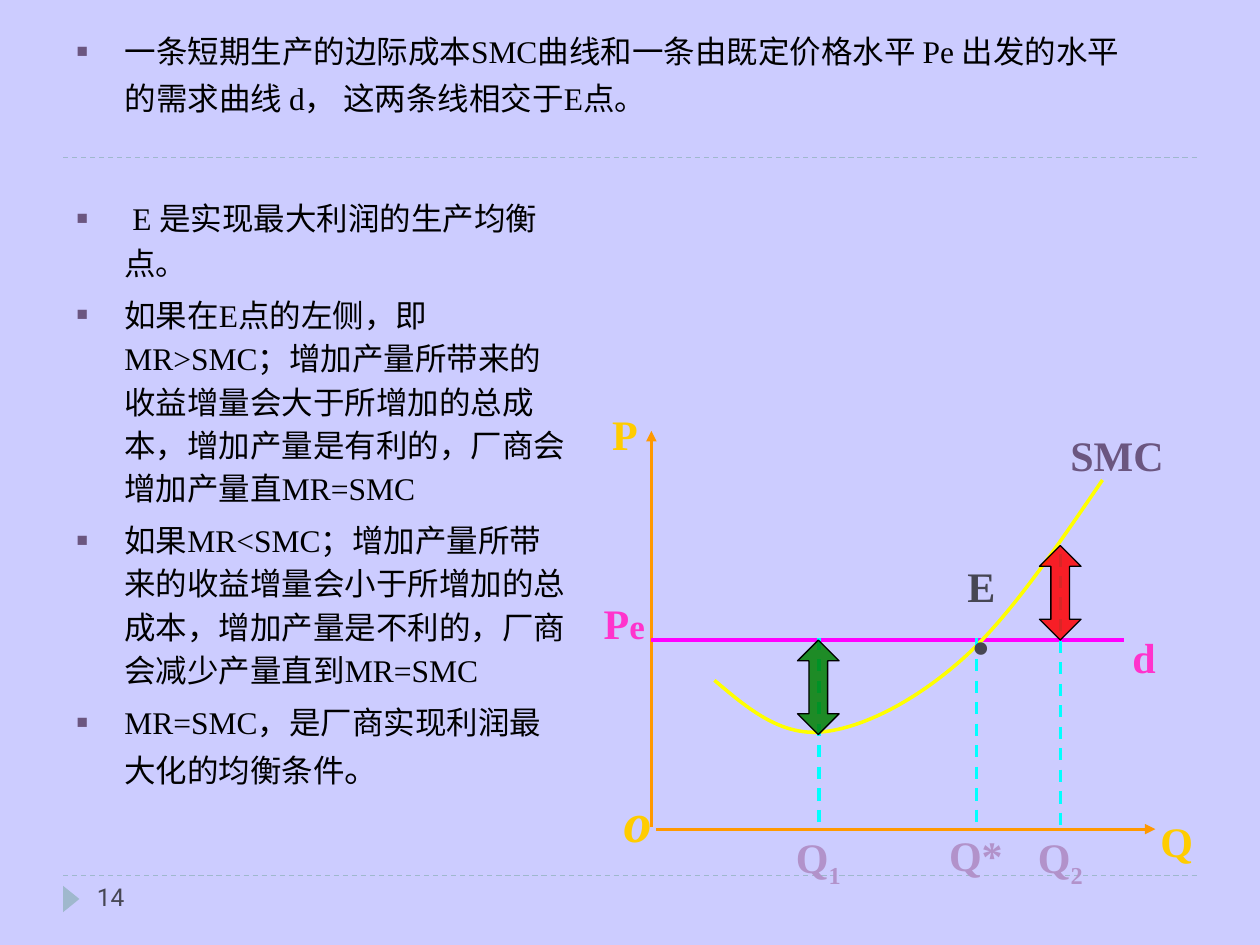
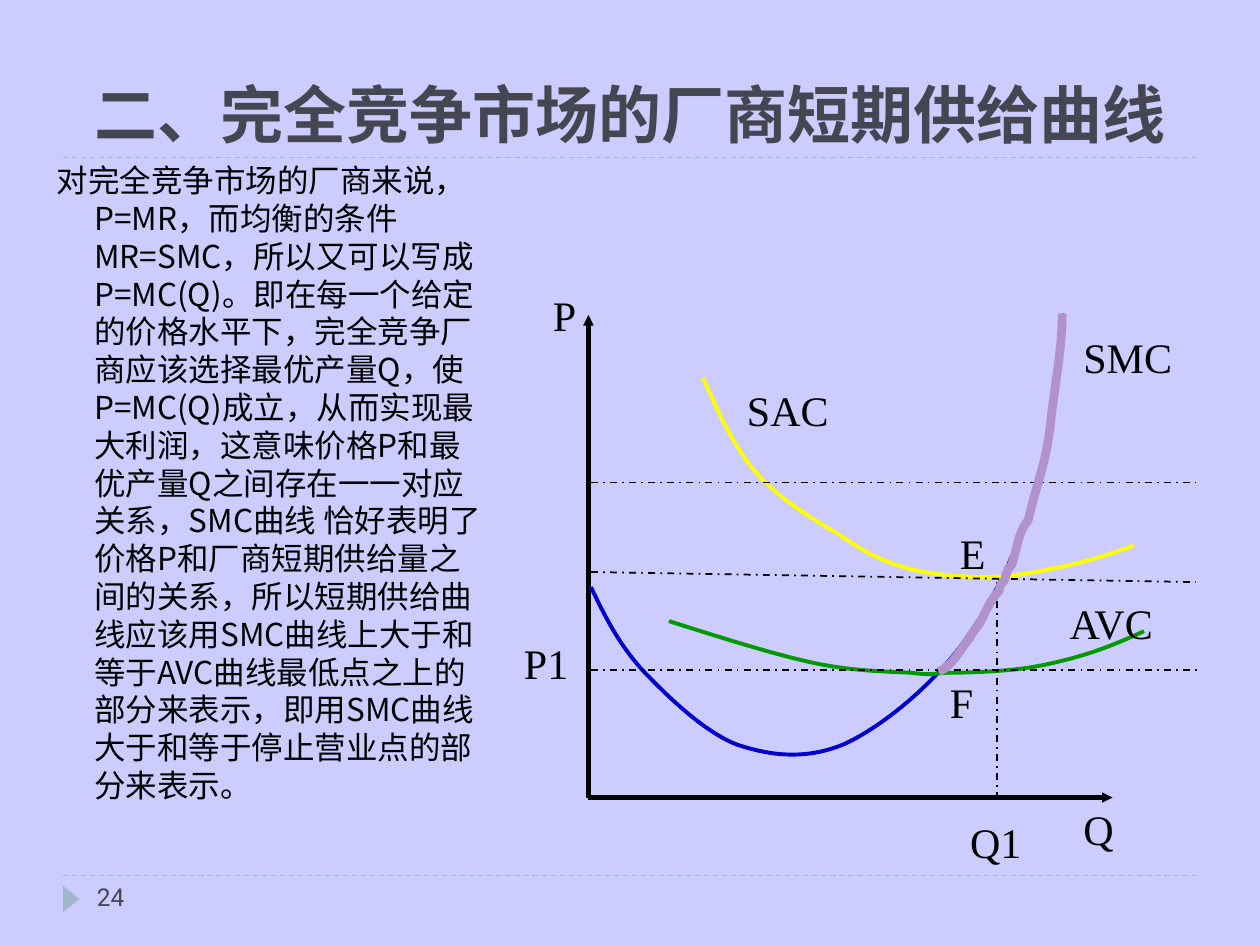
from lxml.etree import SubElement
from pptx import Presentation
from pptx.dml.color import RGBColor
from pptx.enum.dml import MSO_LINE_DASH_STYLE as Dash
from pptx.enum.shapes import MSO_CONNECTOR, MSO_SHAPE
from pptx.enum.text import MSO_ANCHOR as Anchor, PP_ALIGN as Align
from pptx.oxml.ns import qn
from pptx.util import Inches, Pt

WIDTH, HEIGHT = 10, 7.5
MARGIN = 0.5
SERIF, CJK = "Times New Roman", "Noto Sans CJK SC"
BACKGROUND, RULE, INK, BLACK = "CCCCFF", "9FB8CD", "464653", "000000"
PLUM, LILAC, GOLD, ORANGE = "6B5680", "B292CA", "FFCC00", "FF9900"
PINK, MAGENTA, CYAN, YELLOW = "FF33CC", "FF00FF", "00FFFF", "FFFF00"
BLUE, GREEN = "0000CC", "009900"
AXIS_INSETS = (0.24, 0, 0, 0.17)

INTRO = ["一条短期生产的边际成本SMC曲线和一条由既定价格水平 Pe 出发的水平的需求曲线 d， 这两条线相交于E点。"]
POINTS = [
    " E 是实现最大利润的生产均衡点。",
    "如果在E点的左侧，即MR>SMC；增加产量所带来的收益增量会大于所增加的总成本，增加产量是有利的，厂商会增加产量直MR=SMC",
    "如果MR<SMC；增加产量所带来的收益增量会小于所增加的总成本，增加产量是不利的，厂商会减少产量直到MR=SMC",
    [("MR=SMC，是厂商实现利润最大化的均衡条件", {}), ("。", {"size": 20})],
]
TITLE = "二、完全竞争市场的厂商短期供给曲线"
SUPPLY_TEXT = (
    "对完全竞争市场的厂商来说，P=MR，而均衡的条件MR=SMC，所以又可以写成P=MC(Q)。"
    "即在每一个给定的价格水平下，完全竞争厂商应该选择最优产量Q，使P=MC(Q)成立，"
    "从而实现最大利润，这意味价格P和最优产量Q之间存在一一对应关系，SMC曲线 恰好表明了"
    "价格P和厂商短期供给量之间的关系，所以短期供给曲线应该用SMC曲线上大于和等于AVC曲线"
    "最低点之上的部分来表示，即用SMC曲线大于和等于停止营业点的部分来表示。"
)

SUBSCRIPT = {"baseline": -25}
EQUILIBRIUM_LABELS = [
    ("o", (4.67, 6.03, 0.54, 0.89), GOLD, {"size": 32, "italic": True}),
    ("Q", (8.93, 6.31, 0.58, 0.73), GOLD, {}),
    ("P", (4.58, 3.08, 0.52, 0.73), GOLD, {}),
    ([("P", {}), ("e", {"size": 20})], (4.42, 4.58, 0.83, 0.73), PINK, {}),
    ("d", (8.5, 4.85, 0.92, 0.73), PINK, {}),
    ("SMC", (8.08, 3.25, 1.33, 0.73), PLUM, {}),
    ("·", (7.43, 4.45, 0.47, 1.2), INK, {"size": 44}),
]
OUTPUTS = [
    ("Q*", 7.75, 5.06, 0.73),
    ([("Q", {}), ("1", SUBSCRIPT)], 6.5, 5.06, 0.81),
    ([("Q", {}), ("2", SUBSCRIPT)], 8.42, 4.4, 0.81),
]
GAP_ARROWS = [(6.33, 5.08, "008000"), (8.25, 4.33, "FF0000")]
EQUILIBRIUM_SMC = [
    (5.67, 5.4), (5.93, 5.62), (6.19, 5.84), (6.52, 5.81), (6.85, 5.78),
    (7.27, 5.56), (7.64, 5.23), (8.01, 4.9), (8.38, 4.35), (8.75, 3.81),
]

SUPPLY_LABELS = [
    ("P", 4.29, 2.25, 1.08), ("Q", 8.5, 6.33, 0.67), ("SMC", 8.5, 2.58, 0.99),
    ("SAC", 5.83, 3, 1.25), ("AVC", 8.39, 4.69, 1.25), ("P1", 4.06, 5.01, 0.79),
    ("E", 7.52, 4.14, 0.71), ("F", 7.44, 5.32, 0.31), ("Q1", 7.6, 6.43, 0.71),
]
GUIDES = [
    ((4.69, 5.32), (9.52, 5.32)), ((7.91, 4.62), (7.91, 6.37)),
    ((4.69, 4.54), (9.49, 4.62)), ((4.69, 3.83), (9.49, 3.83)),
]
COST_CURVES = [
    (BLUE, [
        (4.69, 4.66), (4.8, 4.89), (4.91, 5.11), (5.1, 5.32), (5.3, 5.53),
        (5.59, 5.81), (5.85, 5.91), (6.12, 6), (6.39, 6.03), (6.69, 5.91),
        (6.98, 5.78), (7.35, 5.48), (7.6, 5.16), (7.85, 4.84), (8.05, 4.43),
        (8.19, 3.99), (8.32, 3.55), (8.38, 3.02), (8.44, 2.49)]),
    (GREEN, [
        (5.31, 4.93), (5.72, 5.06), (6.13, 5.19), (6.45, 5.26), (6.77, 5.33),
        (7.06, 5.33), (7.23, 5.34), (7.41, 5.36), (7.36, 5.35), (7.52, 5.34),
        (7.67, 5.34), (7.97, 5.33), (8.16, 5.3), (8.35, 5.27), (8.5, 5.23),
        (8.66, 5.18), (8.81, 5.13), (8.95, 5.07), (9.08, 5.01)]),
    (YELLOW, [
        (5.58, 3), (5.7, 3.27), (5.82, 3.54), (6, 3.75), (6.18, 3.96),
        (6.47, 4.13), (6.67, 4.25), (6.86, 4.38), (6.97, 4.44), (7.17, 4.5),
        (7.36, 4.56), (7.63, 4.58), (7.83, 4.58), (8.04, 4.58), (8.22, 4.54),
        (8.42, 4.5), (8.61, 4.46), (8.81, 4.4), (9, 4.33)]),
]
SUPPLY_CURVE = [
    (7.45, 5.33), (7.55, 5.3), (7.63, 5.14), (7.7, 5.06), (7.72, 5.01),
    (7.75, 4.99), (7.78, 4.94), (7.82, 4.86), (7.86, 4.76), (7.93, 4.69),
    (7.93, 4.67), (7.93, 4.66), (7.94, 4.64), (7.95, 4.63), (7.96, 4.62),
    (7.97, 4.61), (7.98, 4.58), (7.99, 4.55), (8, 4.52), (8.01, 4.51),
    (8.02, 4.49), (8.03, 4.48), (8.07, 4.37), (8.08, 4.22), (8.16, 4.13),
    (8.2, 3.95), (8.26, 3.78), (8.3, 3.6), (8.33, 3.46), (8.34, 3.32),
    (8.36, 3.18), (8.39, 2.95), (8.43, 2.72), (8.43, 2.49),
]


def paint(color_format, color):
    color_format.rgb = RGBColor.from_string(color)


def fill_with(fill, color, alpha=None):
    fill.solid()
    paint(fill.fore_color, color)
    if alpha:
        node = fill.fore_color._xFill.find(qn("a:srgbClr"))
        SubElement(node, qn("a:alpha"), val=str(alpha * 1000))


def add_bullet(properties):
    color = SubElement(properties, qn("a:buClr"))
    SubElement(color, qn("a:srgbClr"), val=PLUM)
    SubElement(properties, qn("a:buSzPct"), val="60000")
    SubElement(properties, qn("a:buFont"), typeface=SERIF)
    SubElement(properties, qn("a:buChar"), char="■")


def format_run(run, size, font, color, bold=False, italic=False, baseline=0):
    run.font.size = Pt(size)
    run.font.name = font
    run.font.bold = bold
    run.font.italic = italic
    paint(run.font.color, color)
    properties = run._r.get_or_add_rPr()
    SubElement(properties, qn("a:ea"), typeface=CJK)
    if baseline:
        properties.set("baseline", str(baseline * 1000))


def write(slide, paragraphs, box, insets=(0.1, 0.05, 0.1, 0.05), anchor=Anchor.TOP,
          align=Align.LEFT, spacing=(None,), before=(0,), bullet=False, hanging=0,
          size=18, font=SERIF, color=BLACK, **style):
    frame = slide.shapes.add_textbox(*map(Inches, box)).text_frame
    frame.word_wrap = True
    frame.vertical_anchor = anchor
    (frame.margin_left, frame.margin_top,
     frame.margin_right, frame.margin_bottom) = map(Inches, insets)
    base = dict(size=size, font=font, color=color, **style)
    for index, content in enumerate(paragraphs):
        paragraph = frame.add_paragraph() if index else frame.paragraphs[0]
        properties = paragraph._p.get_or_add_pPr()
        properties.set("hangingPunct", "0")
        if hanging:
            properties.set("marL", str(Inches(hanging)))
            properties.set("indent", str(-Inches(hanging)))
        if bullet:
            add_bullet(properties)
        paragraph.alignment = align
        paragraph.line_spacing = spacing[index % len(spacing)]
        if index:
            paragraph.space_before = Pt(before[index % len(before)])
        runs = [(content, {})] if isinstance(content, str) else content
        for words, changes in runs:
            run = paragraph.add_run()
            run.text = words
            format_run(run, **{**base, **changes})


def draw_line(slide, start, end, color, width, dash=None, head=None):
    line = slide.shapes.add_connector(
        MSO_CONNECTOR.STRAIGHT, *map(Inches, (*start, *end)))
    paint(line.line.color, color)
    line.line.width = Pt(width)
    if dash:
        line.line.dash_style = dash
    if head:
        SubElement(line.line._get_or_add_ln(), qn("a:tailEnd"),
                   type="triangle", w=head, len=head)
    SubElement(line._element.spPr, qn("a:effectLst"))


def draw_curve(slide, points, color, width):
    start, *rest = [tuple(map(Inches, point)) for point in points]
    builder = slide.shapes.build_freeform(*start, scale=1.0)
    builder.add_line_segments(rest, close=False)
    shape = builder.convert_to_shape()
    outline = next(shape._element.iter(qn("a:path")))
    segments = outline.findall(qn("a:lnTo"))
    for first in range(0, len(segments), 3):
        cubic = SubElement(outline, qn("a:cubicBezTo"))
        for segment in segments[first:first + 3]:
            cubic.append(segment[0])
            outline.remove(segment)
    shape.shadow.inherit = False
    shape.fill.background()
    paint(shape.line.color, color)
    shape.line.width = Pt(width)


def add_preset(slide, kind, box, color, alpha=None):
    shape = slide.shapes.add_shape(kind, *map(Inches, box))
    shape.shadow.inherit = False
    fill_with(shape.fill, color, alpha)
    shape.line.fill.background()
    return shape


def new_slide(presentation, number):
    slide = presentation.slides.add_slide(presentation.slide_layouts[6])
    fill_with(slide.background.fill, BACKGROUND)
    for y in (6.95, 1.25):
        draw_line(slide, (MARGIN, y), (WIDTH - MARGIN, y), RULE, 0.75, Dash.DASH)
    marker = add_preset(slide, MSO_SHAPE.ISOSCELES_TRIANGLE, (0.46, 7.07, 0.21, 0.13), RULE)
    marker.rotation = 90
    write(slide, [number], (0.67, 6.95, 2.17, 0.4), size=14, font="Roboto", color=INK)
    return slide


def axis_label(slide, words, box, color, **style):
    write(slide, [words], box, insets=AXIS_INSETS, align=Align.CENTER, spacing=(1.4,),
          color=color, bold=True, **{"size": 24, **style})


def build_equilibrium(presentation):
    slide = new_slide(presentation, "14")
    write(slide, INTRO, (0.51, 0.13, 8.58, 1.12), bullet=True, hanging=0.38, spacing=(1.25,))
    draw_line(slide, (5.21, 6.58), (9.17, 6.58), ORANGE, 1.75, head="med")
    draw_line(slide, (5.17, 6.56), (5.17, 3.42), ORANGE, 1.75, head="med")
    draw_line(slide, (5.17, 5.08), (8.92, 5.08), MAGENTA, 2)
    draw_curve(slide, EQUILIBRIUM_SMC, YELLOW, 2)
    for words, x, top, height in OUTPUTS:
        draw_line(slide, (x, top), (x, 6.56), CYAN, 1.75, Dash.DASH)
        axis_label(slide, words, (x - 0.5, 6.42, 0.75, height), LILAC)
    for words, box, color, style in EQUILIBRIUM_LABELS:
        axis_label(slide, words, box, color, **style)
    write(slide, POINTS, (0.51, 1.47, 4.13, 4.61), bullet=True, hanging=0.38,
          spacing=(1.2, 1.15, 1.15, 1.15), before=(0, 4.5, 4.5, 5))
    write(slide, ["E"], (7.58, 4.4, 0.42, 0.5), size=24, color=INK, bold=True)
    for left, top, color in GAP_ARROWS:
        arrow = add_preset(slide, MSO_SHAPE.UP_DOWN_ARROW, (left, top, 0.33, 0.75), color, 85)
        arrow.adjustments[0], arrow.adjustments[1] = 0.5, 0.45
        paint(arrow.line.color, BLACK)
        arrow.line.width = Pt(0.75)


def build_supply(presentation):
    slide = new_slide(presentation, "24")
    write(slide, [TITLE], (MARGIN, 0.17, WIDTH - 2 * MARGIN, 1.08), anchor=Anchor.BOTTOM,
          align=Align.CENTER, size=36, font="TeX Gyre Bonum", color=INK, bold=True)
    write(slide, [SUPPLY_TEXT], (0.35, 1.23, 3.62, 5.84), font=CJK, hanging=0.3,
          spacing=(Pt(21.6),))
    origin = (4.67, 6.33)
    for end in ((8.83, 6.33), (4.67, 2.5)):
        draw_line(slide, origin, end, BLACK, 3, head="sm")
    for color, points in COST_CURVES:
        draw_curve(slide, points, color, 2.25)
    for words, left, top, width in SUPPLY_LABELS:
        write(slide, [words], (left, top, width, 0.5), size=24)
    for start, end in GUIDES:
        draw_line(slide, start, end, BLACK, 1, Dash.DASH_DOT)
    draw_curve(slide, SUPPLY_CURVE, LILAC, 5)


def main():
    presentation = Presentation()
    presentation.slide_width, presentation.slide_height = Inches(WIDTH), Inches(HEIGHT)
    build_equilibrium(presentation)
    build_supply(presentation)
    presentation.save("out.pptx")


if __name__ == "__main__":
    main()
